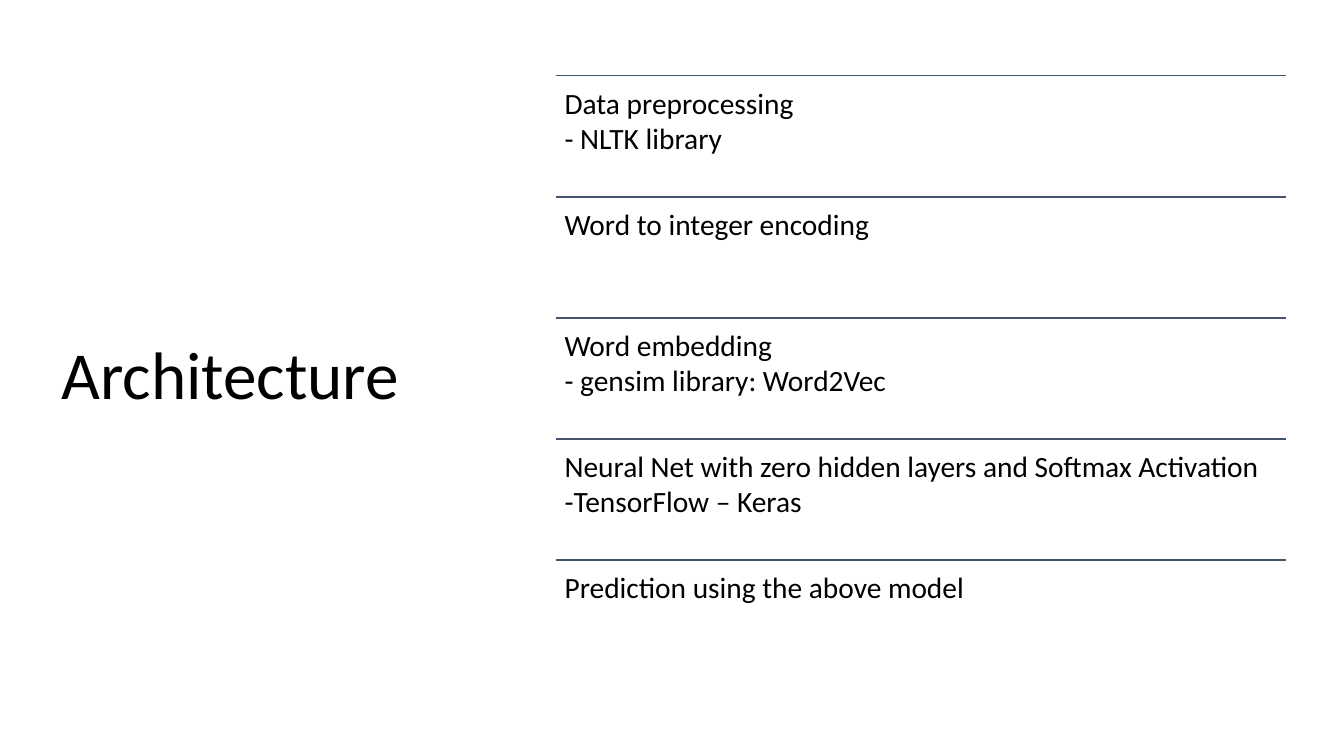
"""Build the Architecture slide: a title beside five ruled pipeline steps."""
from dataclasses import dataclass

from lxml.etree import SubElement
from pptx import Presentation
from pptx.dml.color import RGBColor
from pptx.enum.shapes import MSO_CONNECTOR as Connector
from pptx.enum.text import MSO_ANCHOR as Anchor
from pptx.oxml.ns import qn
from pptx.slide import Slide
from pptx.util import Cm, Length, Pt


@dataclass(frozen=True)
class Theme:
    font: str = "Calibri"
    text: RGBColor = RGBColor(0x00, 0x00, 0x00)
    rule: RGBColor = RGBColor(0x44, 0x54, 0x6A)
    title_size: Length = Pt(48)
    step_size: Length = Pt(21)
    rule_width: Length = Pt(1)


@dataclass(frozen=True)
class Box:
    left: Length
    top: Length
    width: Length
    height: Length


@dataclass(frozen=True)
class Step:
    heading: str
    detail: str = ""

    @property
    def text(self) -> str:
        return f"{self.heading}\v{self.detail}" if self.detail else self.heading


THEME = Theme()
TITLE_BOX = Box(Cm(1.3), Cm(1.78), Cm(9.27), Cm(15.49))
FIRST_STEP_BOX = Box(Cm(14), Cm(1.91), Cm(18.42), Cm(3.05))
STEPS = (
    Step("Data preprocessing", "- NLTK library"),
    Step("Word to integer encoding"),
    Step("Word embedding", "- gensim\u00a0library: Word2Vec"),
    Step("Neural Net with zero hidden layers and Softmax Activation",
         "-TensorFlow – Keras"),
    Step("Prediction using the above model"),
)


def add_text(slide: Slide, box: Box, text: str, size: Length, inset: Length,
             anchor: Anchor, line_spacing: float) -> None:
    shape = slide.shapes.add_textbox(box.left, box.top, box.width, box.height)
    frame = shape.text_frame
    frame.word_wrap = True
    frame.vertical_anchor = anchor
    frame.margin_left = frame.margin_right = inset
    frame.margin_top = frame.margin_bottom = inset
    paragraph = frame.paragraphs[0]
    paragraph.text = text
    paragraph.line_spacing = line_spacing
    for run in paragraph.runs:
        run.font.name = THEME.font
        run.font.size = size
        run.font.color.rgb = THEME.text


def add_rule(slide: Slide, box: Box) -> None:
    rule = slide.shapes.add_connector(
        Connector.STRAIGHT, box.left, box.top, box.left + box.width, box.top)
    rule.line.color.rgb = THEME.rule
    rule.line.width = THEME.rule_width
    SubElement(rule._element.spPr, qn("a:effectLst"))


def add_step(slide: Slide, step: Step, index: int) -> None:
    first = FIRST_STEP_BOX
    box = Box(first.left, first.top + index * first.height, first.width, first.height)
    add_rule(slide, box)
    add_text(slide, box, step.text, THEME.step_size, Cm(0.23), Anchor.TOP, 1.0)


def main() -> None:
    presentation = Presentation()
    presentation.slide_width = Cm(33.87)
    presentation.slide_height = Cm(19.05)
    slide = presentation.slides.add_slide(presentation.slide_layouts[6])
    add_text(slide, TITLE_BOX, "Architecture", THEME.title_size, Cm(0.25),
             Anchor.MIDDLE, 0.9)
    for index, step in enumerate(STEPS):
        add_step(slide, step, index)
    presentation.save("out.pptx")


main()
